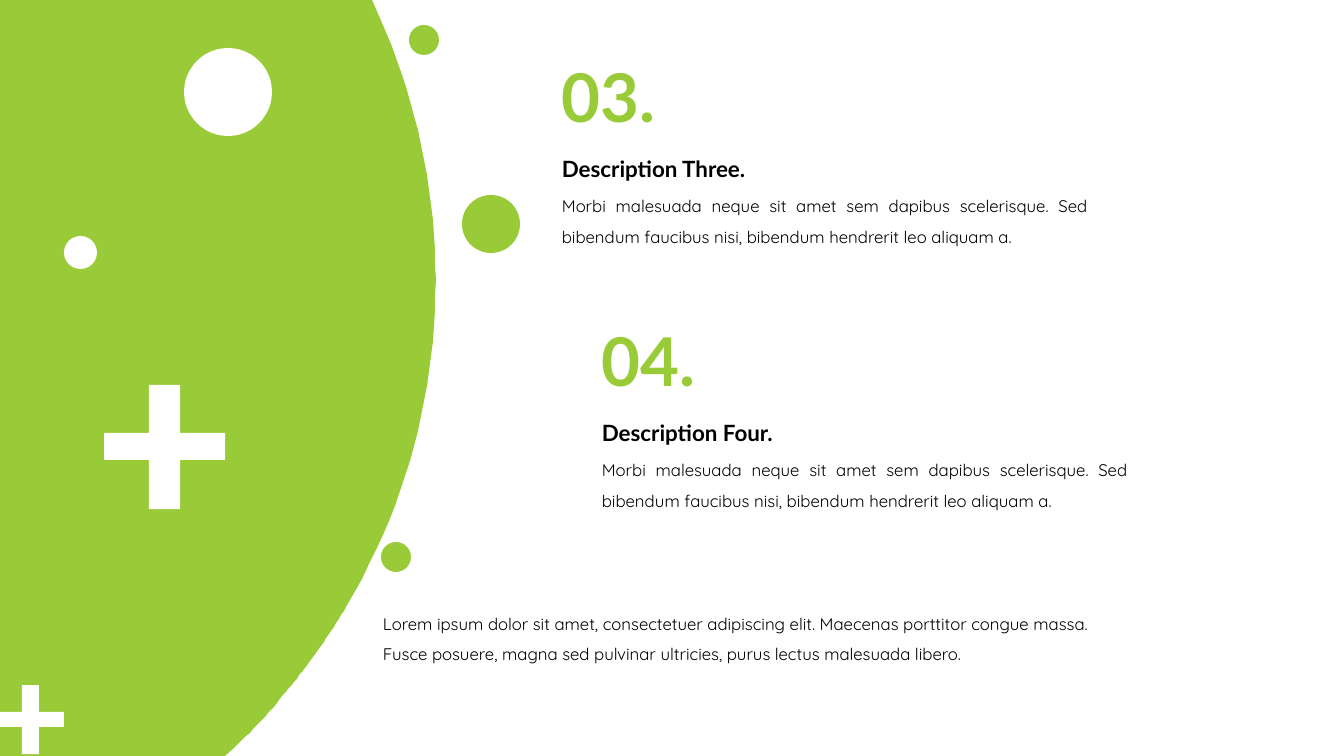
"""Build a slide with two numbered descriptions beside a curved green panel."""
from pptx import Presentation
from pptx.dml.color import RGBColor
from pptx.enum.shapes import MSO_SHAPE
from pptx.enum.text import MSO_ANCHOR, MSO_AUTO_SIZE, PP_ALIGN
from pptx.util import Pt

OVAL = MSO_SHAPE.OVAL
TOP, MIDDLE = MSO_ANCHOR.TOP, MSO_ANCHOR.MIDDLE
LEFT, JUSTIFY = PP_ALIGN.LEFT, PP_ALIGN.JUSTIFY
FIT_SHAPE = MSO_AUTO_SIZE.SHAPE_TO_FIT_TEXT

COLORS = {"green": "99CB38", "white": "FFFFFF", "black": "000000"}
HEADING_FONT, BODY_FONT = "Lato", "Quicksand"

DESCRIPTION = ("Morbi malesuada neque sit amet sem dapibus scelerisque. "
               "Sed bibendum faucibus nisi, bibendum hendrerit leo aliquam a.")
ITEMS = [("03.", "Description Three.", DESCRIPTION),
         ("04.", "Description Four.", DESCRIPTION)]
CLOSING = ("Lorem ipsum dolor sit amet, consectetuer adipiscing elit. "
           "Maecenas porttitor congue massa. Fusce posuere, magna sed "
           "pulvinar ultricies, purus lectus malesuada libero.")

PX = 914400 / 100.8
SLIDE_WIDTH, SLIDE_HEIGHT = 1344, 756
ITEM_LEFT, ITEM_TOP = 552, 50
ITEM_STEP_X, ITEM_STEP_Y = 40, 264
HEADING_OFFSET, BODY_OFFSET = 87, 131
CURVE_STEPS = 40

PANEL_START = [(0, 0), (372, 0), (379, 16)]
PANEL_CURVES = [[(379, 16), (461, 201), (457, 419), (346, 607)],
                [(346, 607), (314, 660), (276, 708), (234, 748)]]
PANEL_END = [(225, 756), (0, 756)]

CIRCLES = [(409, 25, 30, "green"), (462, 195, 58, "green"),
           (381, 542, 30, "green"), (184, 48, 88, "white"),
           (64, 236, 33, "white")]
CROSSES = [((-3, 22, 39, 64), (685, 712, 727, 754)),
           ((104, 149, 180, 225), (385, 433, 460, 509))]


def px(*lengths):
    return [round(length * PX) for length in lengths]


def paint(shape, color):
    shape.shadow.inherit = False
    shape.fill.solid()
    shape.fill.fore_color.rgb = RGBColor.from_string(COLORS[color])
    shape.line.fill.background()


def add_outline(slide, points, color):
    builder = slide.shapes.build_freeform(*points[0], scale=PX)
    builder.add_line_segments(points[1:], close=True)
    paint(builder.convert_to_shape(), color)


def curve_points(controls):
    points = []
    for step in range(1, CURVE_STEPS + 1):
        t = step / CURVE_STEPS
        weights = ((1 - t) ** 3, 3 * t * (1 - t) ** 2, 3 * t * t * (1 - t), t ** 3)
        points.append(tuple(sum(weight * point[axis] for weight, point in zip(weights, controls))
                            for axis in (0, 1)))
    return points


def cross_points(columns, rows):
    x0, x1, x2, x3 = columns
    y0, y1, y2, y3 = rows
    return [(x1, y0), (x2, y0), (x2, y1), (x3, y1), (x3, y2), (x2, y2),
            (x2, y3), (x1, y3), (x1, y2), (x0, y2), (x0, y1), (x1, y1)]


def add_text(slide, box, text, font, size, color="black", bold=False,
             spacing=1.5, align=LEFT, anchor=TOP):
    frame = slide.shapes.add_textbox(*px(*box)).text_frame
    frame.word_wrap = True
    frame.auto_size = FIT_SHAPE
    frame.vertical_anchor = anchor
    paragraph = frame.paragraphs[0]
    paragraph.alignment = align
    paragraph.line_spacing = spacing
    run = paragraph.add_run()
    run.text = text
    run.font.name = font
    run.font.size = Pt(size)
    run.font.bold = bold
    run.font.color.rgb = RGBColor.from_string(COLORS[color])


def main():
    presentation = Presentation()
    presentation.slide_width, presentation.slide_height = px(SLIDE_WIDTH, SLIDE_HEIGHT)
    slide = presentation.slides.add_slide(presentation.slide_layouts[6])

    panel = PANEL_START + [point for curve in PANEL_CURVES for point in curve_points(curve)]
    add_outline(slide, panel + PANEL_END, "green")

    for index, (number, heading, body) in enumerate(ITEMS):
        left = ITEM_LEFT + index * ITEM_STEP_X
        top = ITEM_TOP + index * ITEM_STEP_Y
        add_text(slide, (left, top, 144, 92), number, HEADING_FONT, 48,
                 color="green", bold=True, spacing=1.0)
        add_text(slide, (left, top + HEADING_OFFSET, 317, 45), heading,
                 HEADING_FONT, 16, bold=True)
        add_text(slide, (left, top + BODY_OFFSET, 546, 72), body,
                 BODY_FONT, 12, align=JUSTIFY)
    add_text(slide, (373, 598, 766, 72), CLOSING, BODY_FONT, 12, anchor=MIDDLE)

    for left, top, diameter, color in CIRCLES:
        paint(slide.shapes.add_shape(OVAL, *px(left, top, diameter, diameter)), color)
    for columns, rows in CROSSES:
        add_outline(slide, cross_points(columns, rows), "white")

    presentation.save("out.pptx")


if __name__ == "__main__":
    main()
